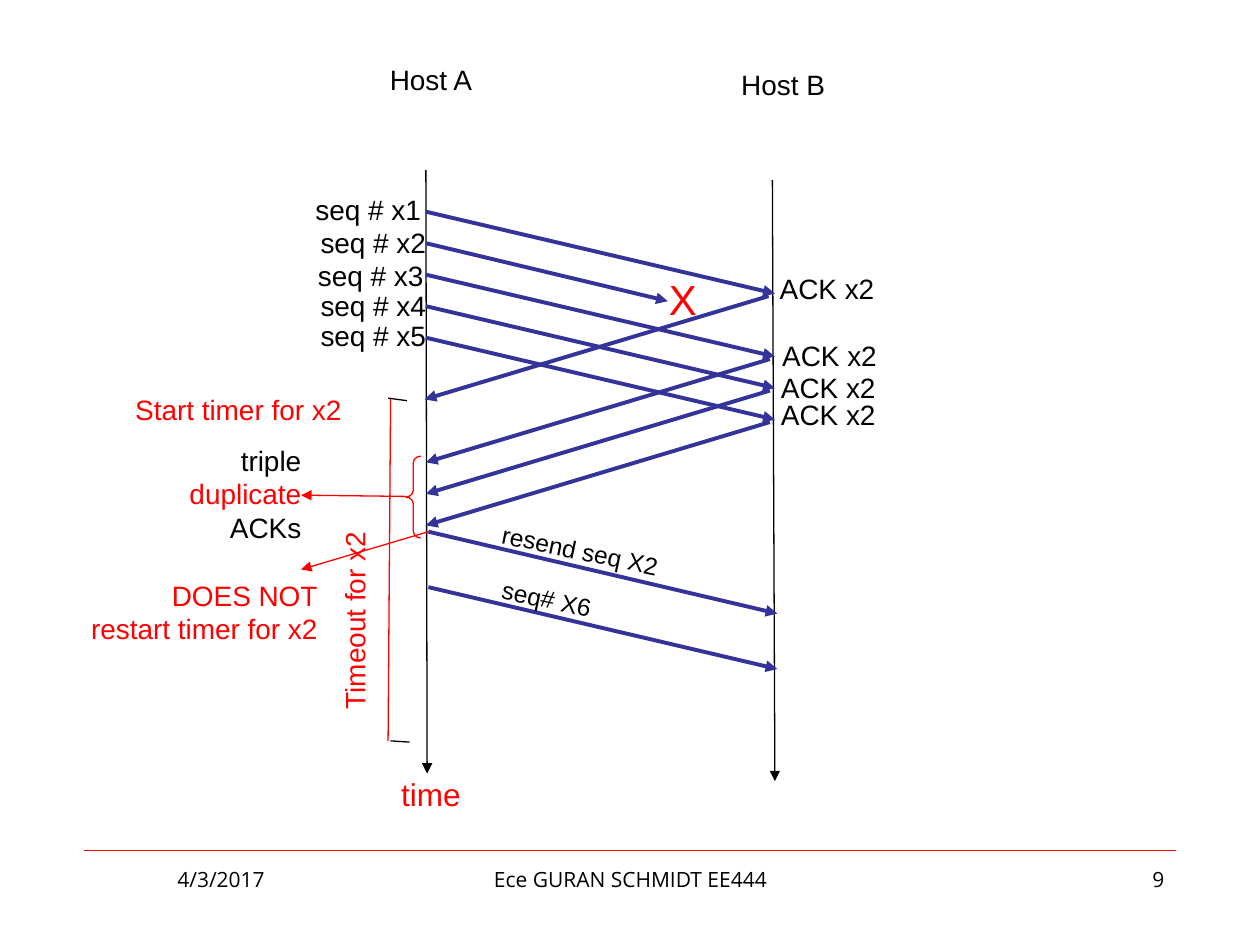
from lxml.etree import SubElement
from pptx import Presentation
from pptx.dml.color import RGBColor
from pptx.enum.shapes import MSO_CONNECTOR, MSO_SHAPE
from pptx.enum.text import MSO_AUTO_SIZE, PP_ALIGN
from pptx.oxml.ns import qn
from pptx.util import Inches, Pt

HUES = {"black": "000000", "red": "FF0000", "blue": "333399"}
SIDES = {"l": PP_ALIGN.LEFT, "c": PP_ALIGN.CENTER, "r": PP_ALIGN.RIGHT}

deck = Presentation()
deck.slide_width, deck.slide_height = Inches(10), Inches(7.5)
slide = deck.slides.add_slide(deck.slide_layouts[6])


def write(text, x, y, w, h, size=16, hue="black", side="c", font="Arial",
          turn=0, wrap=False, grow=True):
    box = slide.shapes.add_textbox(Inches(x), Inches(y), Inches(w), Inches(h))
    box.rotation = turn
    frame = box.text_frame
    frame.word_wrap = wrap
    frame.auto_size = MSO_AUTO_SIZE.SHAPE_TO_FIT_TEXT if grow else MSO_AUTO_SIZE.NONE
    rows = text.split("\n")
    hues = hue.split()
    for i, row in enumerate(rows):
        para = frame.paragraphs[0] if i == 0 else frame.add_paragraph()
        para.alignment = SIDES[side]
        run = para.add_run()
        run.text = row
        run.font.size = Pt(size)
        run.font.name = font
        run.font.color.rgb = RGBColor.from_string(HUES[hues[i % len(hues)]])


def draw(x1, y1, x2, y2, hue="black", width=0.75, head=True):
    line = slide.shapes.add_connector(
        MSO_CONNECTOR.STRAIGHT, Inches(x1), Inches(y1), Inches(x2), Inches(y2))
    line.line.color.rgb = RGBColor.from_string(HUES[hue])
    line.line.width = Pt(width)
    if head:
        SubElement(line.line._get_or_add_ln(), qn("a:tailEnd"), type="triangle")
    SubElement(line._element.spPr, qn("a:effectLst"))


draw(0.67, 6.75, 9.33, 6.75, hue="red", width=0.25, head=False)
for text, x, w, side in [("4/3/2017", 0.67, 2.17, "c"),
                         ("Ece GURAN SCHMIDT EE444", 3.42, 3.17, "c"),
                         ("9", 7.17, 2.17, "r")]:
    write(text, x, 6.83, w, 0.52, size=12, side=side, font="Open Sans",
          wrap=True, grow=False)

write("Host A", 2.99, 0.45, 0.86, 0.37)
write("Host B", 5.76, 0.49, 0.91, 0.37)
draw(3.38, 1.35, 3.39, 6.14)
draw(6.13, 1.43, 6.15, 6.2)
write("time", 3.08, 6.1, 0.68, 0.4, size=18, hue="red")

for x, y in [(3.38, 1.68), (3.38, 2.18), (3.38, 2.43), (3.38, 2.68),
             (3.4, 4.22), (3.4, 4.66)]:
    draw(x, y, x + 2.77, y + 0.65, hue="blue", width=2.25)
draw(3.38, 1.93, 5.3, 2.39, hue="blue", width=2.25)
write("X", 5.21, 2.12, 0.31, 0.5, size=24, hue="red", wrap=True)

for x, y in [(6.1, 2.35), (6.11, 2.85), (6.11, 3.1), (6.11, 3.35)]:
    draw(x, y, x - 2.73, y + 0.82, hue="blue", width=2.25)

for i, (x, y) in enumerate([(2.14, 1.48), (2.18, 1.74), (2.16, 2),
                            (2.18, 2.24), (2.18, 2.48)], 1):
    write(f"seq # x{i}", x, y, 1.3, 0.37, side="r", wrap=True)
for x, y in [(6.09, 2.11), (6.11, 2.64), (6.1, 2.89), (6.1, 3.11)]:
    write("ACK x2", x, y, 1.3, 0.37, side="l", wrap=True)
for text, y in [("resend seq X2", 4.28), ("seq# X6", 4.72)]:
    write(text, 3.87, y, 2.22, 0.33, size=14, side="l", turn=11.9, wrap=True)

draw(3.1, 3.16, 3.08, 5.88, hue="red", head=False)
draw(3.08, 3.16, 3.23, 3.18, head=False)
draw(3.1, 5.88, 3.25, 5.89, head=False)
write("Timeout for x2", 2, 4.74, 1.63, 0.37, hue="red", turn=270)
write("Start timer for x2", 0.94, 3.07, 1.87, 0.37, hue="red", side="r")

brace = slide.shapes.add_shape(
    MSO_SHAPE.LEFT_BRACE, Inches(3.22), Inches(3.62), Inches(0.12), Inches(0.65))
brace.adjustments[0] = 0.45
brace.shadow.inherit = False
brace.fill.background()
brace.line.color.rgb = RGBColor.from_string(HUES["red"])
brace.line.width = Pt(0.75)

write("triple\nduplicate\nACKs", 1.39, 3.47, 1.1, 0.91, hue="black red black", side="r")
draw(3.22, 3.94, 2.39, 3.93, hue="red")
write("DOES NOT\nrestart timer for x2", 0.53, 4.54, 2.09, 0.64, hue="red", side="r")
draw(3.4, 4.22, 2.39, 4.52, hue="red")

deck.save("out.pptx")
